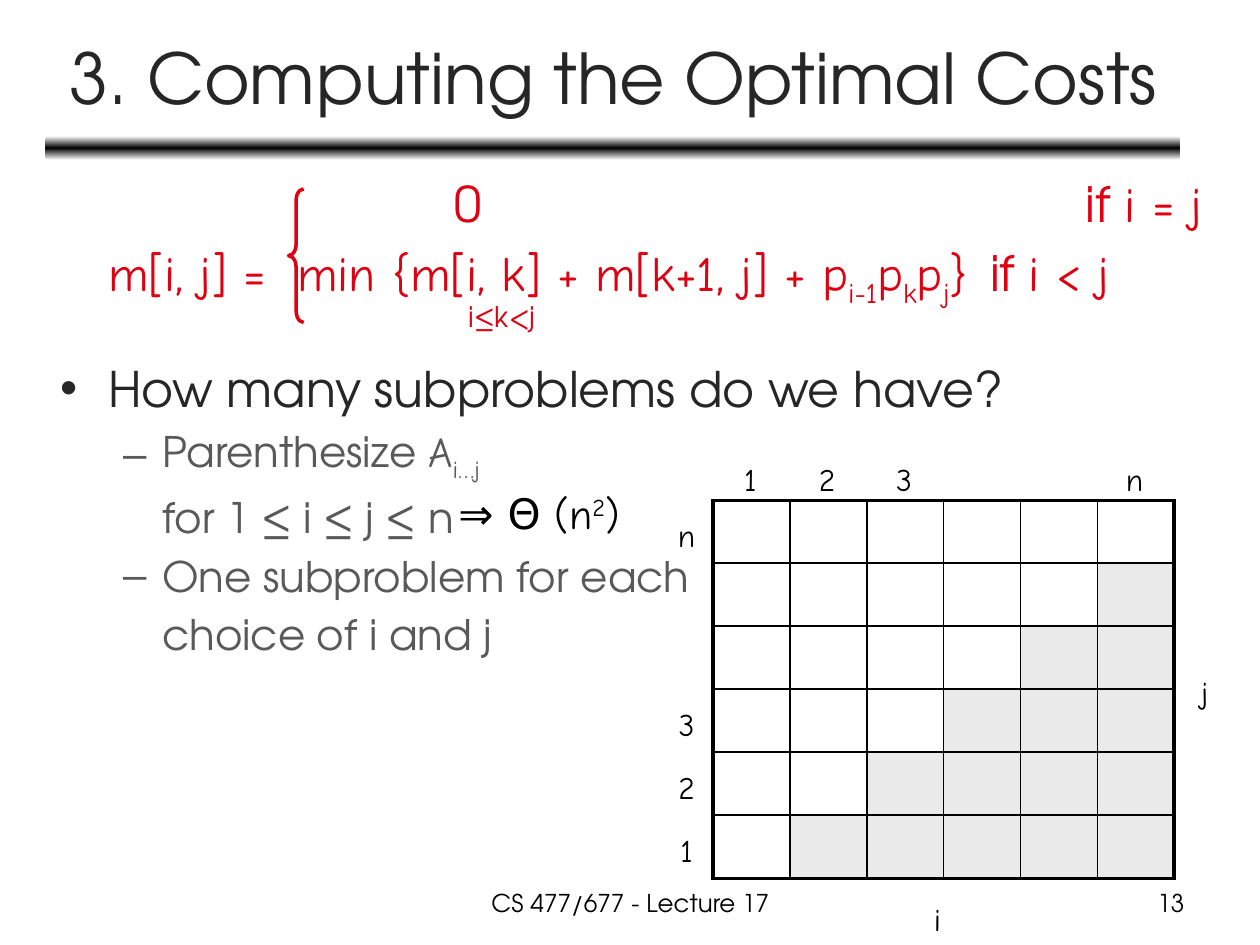
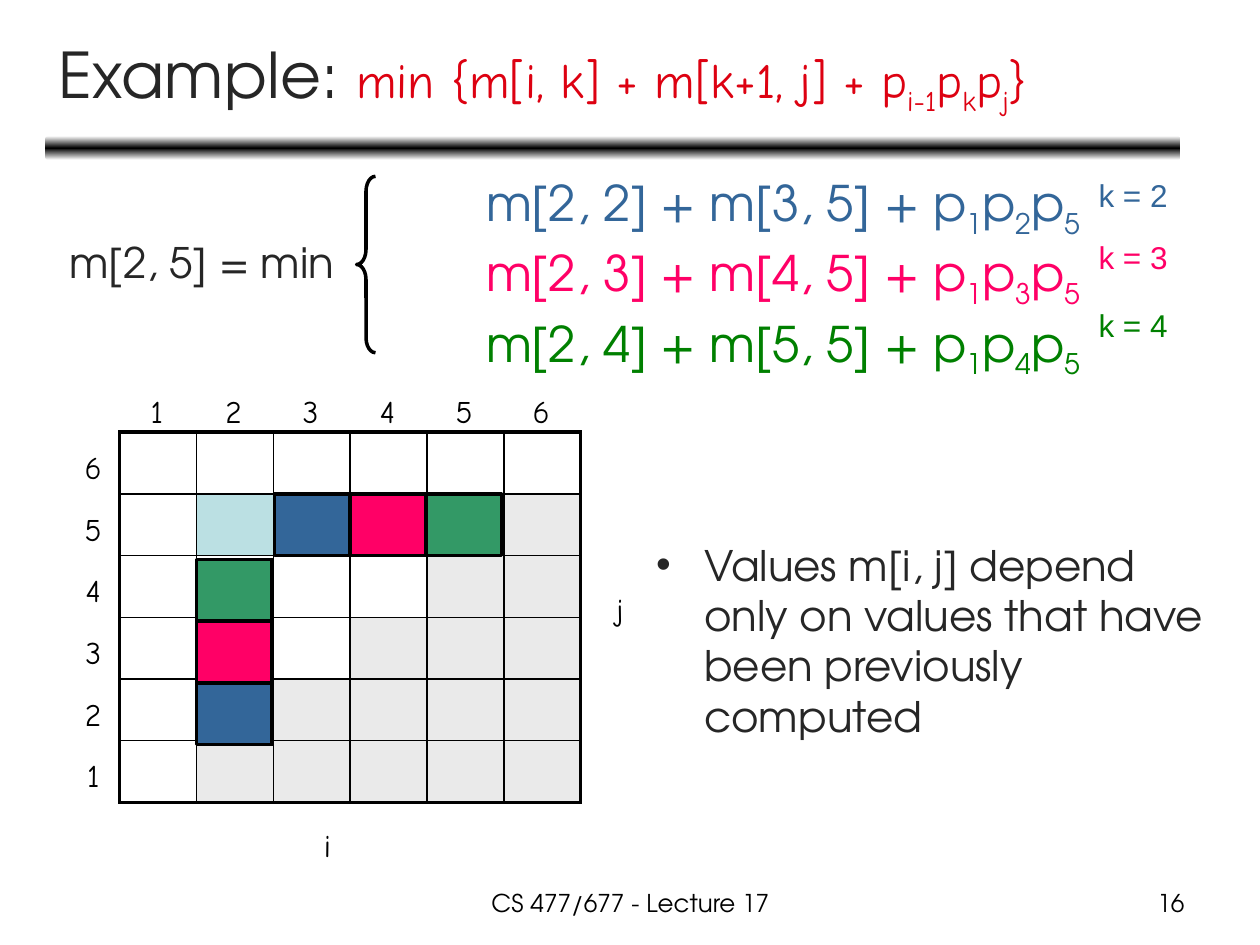
from copy import deepcopy

from lxml.etree import SubElement
from pptx import Presentation
from pptx.dml.color import RGBColor
from pptx.enum.shapes import MSO_SHAPE as Preset
from pptx.enum.text import MSO_ANCHOR as Anchor, PP_ALIGN as Align
from pptx.oxml.ns import qn
from pptx.util import Inches, Pt

COLORS = {
    "ink": "262626", "soft": "595959", "black": "000000", "white": "FFFFFF",
    "red": "DD0111", "shade": "EAEAEA", "target": "BBE0E3",
    "blue": "336699", "pink": "FF0066", "green": "339966", "deep_green": "008000",
}
SANS, HAND, PLAIN = "TeX Gyre Adventor", "Comic Neue", "Arial"
RECURRENCE = "min {m[i, k] + m[k+1, j] + p|i-1|p|k|p|j|}"
GRID_SIZE = 6
COLUMN_WIDTH = 0.61


def rgb(name):
    return RGBColor.from_string(COLORS[name])


class Deck:
    """Holds the shared style and the slide being filled."""

    def __init__(self):
        self.presentation = Presentation()
        self.presentation.slide_width = Inches(10)
        self.presentation.slide_height = Inches(7.5)
        self.slide = None

    def new_slide(self, title_runs, number, align=Align.LEFT):
        layout = self.presentation.slide_layouts[6]
        self.slide = self.presentation.slides.add_slide(layout)
        self.title_band()
        self.text(0.37, 0.11, 9, 0.99, [dict(runs=title_runs, align=align)],
                  anchor=Anchor.MIDDLE)
        footer = dict(size=14, color="black")
        self.text(3.42, 7, 3.17, 0.35, [dict(
            runs=[("CS 477/677 - Lecture 17", footer)], align=Align.CENTER)])
        self.text(7.17, 7, 2.33, 0.35, [dict(
            runs=[(str(number), footer)], align=Align.RIGHT)])

    def shape(self, preset, left, top, width, height, fill=None, line=None):
        shape = self.slide.shapes.add_shape(
            preset, Inches(left), Inches(top), Inches(width), Inches(height))
        shape.shadow.inherit = False
        if fill:
            shape.fill.solid()
            shape.fill.fore_color.rgb = rgb(fill)
        else:
            shape.fill.background()
        if line:
            shape.line.color.rgb = rgb(line)
            shape.line.width = Pt(2)
        else:
            shape.line.fill.background()
        return shape

    def title_band(self):
        band = self.shape(Preset.ROUNDED_RECTANGLE, 0.36, 1.08, 9.01, 0.19)
        band.fill.gradient()
        band.fill.gradient_angle = 90
        stops = band._element.spPr.find(".//" + qn("a:gsLst"))
        stops.insert(1, deepcopy(stops[0]))
        for stop, position, color in zip(
                band.fill.gradient_stops, (0, 0.5, 1), ("white", "black", "white")):
            stop.position = position
            stop.color.rgb = rgb(color)

    def brace(self, left, top, width, height, color, curve):
        brace = self.shape(Preset.LEFT_BRACE, left, top, width, height, line=color)
        brace.adjustments[0] = curve

    def text(self, left, top, width, height, paragraphs, wrap=True, anchor=Anchor.TOP):
        frame = self.slide.shapes.add_textbox(
            Inches(left), Inches(top), Inches(width), Inches(height)).text_frame
        frame.word_wrap = wrap
        frame.vertical_anchor = anchor
        for index, settings in enumerate(paragraphs):
            paragraph = frame.add_paragraph() if index else frame.paragraphs[0]
            self.paragraph(paragraph, spaced=index > 0, **settings)

    def paragraph(self, paragraph, runs, spaced, align=None, margin=0, hanging=0,
                  bullet=None, spacing=None):
        properties = paragraph._p.get_or_add_pPr()
        properties.set("marL", str(Inches(margin)))
        properties.set("indent", str(-Inches(hanging)))
        if spaced:
            before = SubElement(properties, qn("a:spcBef"))
            SubElement(before, qn("a:spcPct"), val="20000")
        if bullet:
            SubElement(properties, qn("a:buFont"), typeface=PLAIN)
            SubElement(properties, qn("a:buChar"), char=bullet)
        else:
            SubElement(properties, qn("a:buNone"))
        for name, value in {"alignment": align, "line_spacing": spacing}.items():
            if value is not None:
                setattr(paragraph, name, value)
        for text, style in runs:
            self.runs(paragraph, text, **style)

    def runs(self, paragraph, text, size=28, font=SANS, color="ink", shift=-25):
        """Add text whose parts between bars are lowered, or raised, by shift percent."""
        for index, part in enumerate(text.split("|")):
            if not part:
                continue
            run = paragraph.add_run()
            run.text = part
            for name, value in {"size": Pt(size), "name": font}.items():
                setattr(run.font, name, value)
            run.font.color.rgb = rgb(color)
            if index % 2:
                run._r.get_or_add_rPr().set("baseline", str(shift * 1000))

    def label(self, text, center_x, center_y):
        style = dict(size=18, font=HAND, color="black")
        self.text(center_x - 0.2, center_y - 0.2, 0.4, 0.4,
                  [dict(runs=[(text, style)], align=Align.CENTER)], wrap=False)

    def grid(self, left, top, row_height, labels, target=None):
        """Draw the cost table, grey below its diagonal, with labels on two sides."""
        frame = self.slide.shapes.add_table(
            GRID_SIZE, GRID_SIZE, Inches(left), Inches(top),
            Inches(COLUMN_WIDTH * GRID_SIZE), Inches(row_height * GRID_SIZE))
        table = frame.table
        table.first_row = table.horz_banding = False
        last = GRID_SIZE - 1
        for index in range(GRID_SIZE):
            table.columns[index].width = Inches(COLUMN_WIDTH)
            table.rows[index].height = Inches(row_height)
        for row in range(GRID_SIZE):
            for column in range(GRID_SIZE):
                cell = table.cell(row, column)
                outer = {"L": column == 0, "R": column == last,
                         "T": row == 0, "B": row == last}
                self.cell_borders(cell, outer)
                cell.fill.solid()
                below = row + column > last
                fill = "target" if (row, column) == target else "shade" if below else "white"
                cell.fill.fore_color.rgb = rgb(fill)
        for index, text in enumerate(labels):
            if text:
                self.label(text, left + COLUMN_WIDTH * (index + 0.5) - 0.01, top - 0.17)
                self.label(text, left - 0.21, top + row_height * (last - index + 0.5) + 0.03)

    def cell_borders(self, cell, outer):
        properties = cell._tc.get_or_add_tcPr()
        for side, is_outer in outer.items():
            line = SubElement(properties, qn("a:ln" + side),
                              w=str(Pt(2.25 if is_outer else 1)))
            fill = SubElement(line, qn("a:solidFill"))
            SubElement(fill, qn("a:srgbClr"), val=COLORS["black"])


def optimal_costs(deck):
    deck.new_slide([("3. Computing the Optimal Costs", dict(size=40))], 13, Align.CENTER)

    # Recurrence and questions
    red, red_hand = dict(color="red"), dict(color="red", font=HAND)
    soft = dict(size=24, color="soft")
    soft_hand = dict(soft, font=HAND)
    item = dict(margin=0.81, hanging=0.31, bullet="–")
    deck.text(0.38, 1.33, 9.37, 5.55, [
        dict(runs=[("0", red)], margin=3.13),
        dict(runs=[("m[i, j] =\t" + RECURRENCE + "\t", red_hand),
                   ("if ", red), ("i < j", red_hand)], margin=0.38),
        dict(runs=[("|i≤k<j|", dict(red, shift=30))], margin=3.24, spacing=0.5),
        dict(runs=[("How many subproblems do we have?", {})],
             margin=0.38, hanging=0.38, bullet="•"),
        dict(runs=[("Parenthesize ", soft), ("A|i…j|", soft_hand)], **item),
        dict(runs=[("for 1 ≤ i ≤ j ≤ n", soft)], margin=0.81),
        dict(runs=[("One subproblem for each", soft)], **item),
        dict(runs=[("choice of i and j", soft)], margin=0.81),
    ])
    deck.text(8.52, 1.33, 1.2, 0.55,
              [dict(runs=[("if ", red), ("i = j", red_hand)])], wrap=False)
    deck.brace(2.29, 1.5, 0.12, 1.06, "red", 0.76)
    count = dict(size=24, font=HAND, color="black", shift=30)
    deck.text(3.54, 3.82, 1.57, 0.5, [dict(runs=[("⇒ Θ (n|2|)", count)])], wrap=False)

    # Cost table
    deck.grid(5.66, 3.97, 0.5, ["1", "2", "3", "", "", "n"])
    deck.label("j", 9.56, 5.49)
    deck.label("i", 7.44, 7.29)


def example(deck):
    deck.new_slide([("Example: ", dict(size=36)),
                    (RECURRENCE, dict(font=HAND, color="red"))], 16)

    # Candidate costs, one for each split k
    splits = {2: "blue", 3: "pink", 4: "deep_green"}
    deck.text(0.38, 1.33, 8.76, 1.61, [
        dict(runs=[(f"m[2, {k}] + m[{k + 1}, 5] + p|1|p|{k}|p|5|", dict(color=color))],
             margin=3.38, spacing=0.9)
        for k, color in splits.items()])
    for top, (k, color) in zip((1.35, 1.84, 2.38), splits.items()):
        style = dict(size=18, font=PLAIN, color=color)
        deck.text(8.62, top, 0.75, 0.4, [dict(runs=[(f"k = {k}", style)])], wrap=False)
    deck.text(0.45, 1.83, 2.57, 0.68, [dict(runs=[("m[2, 5] = min", dict(size=24))])])
    deck.brace(2.83, 1.4, 0.15, 1.4, "black", 0.79)

    # Cost table with the pairs of cells that are added
    deck.grid(0.95, 3.43, 0.49, "123456", target=(1, 1))
    deck.label("i", 2.6, 6.71)
    deck.label("j", 4.92, 4.83)
    for step, color in enumerate(("blue", "pink", "green")):
        for left, top in ((1.56, 5.42 - 0.49 * step), (2.18 + 0.6 * step, 3.92)):
            deck.shape(Preset.RECTANGLE, left, top, 0.6, 0.49, color, "black")

    # Conclusion
    remark = "Values m[i, j] depend only on values that have been previously computed"
    deck.text(5.11, 4.23, 4.65, 2.57, [dict(
        runs=[(remark, dict(size=24))], margin=0.38, hanging=0.38, bullet="•")])


def main():
    deck = Deck()
    optimal_costs(deck)
    example(deck)
    deck.presentation.save("out.pptx")


if __name__ == "__main__":
    main()
